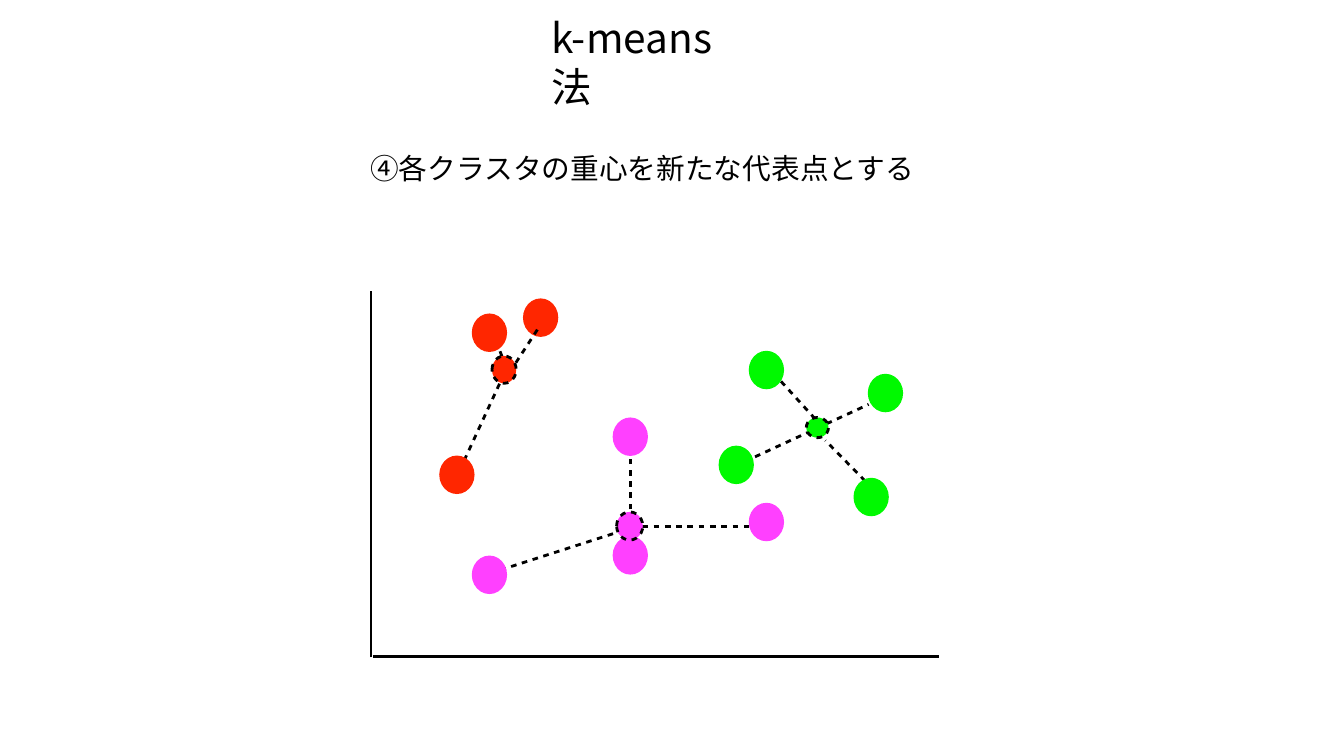
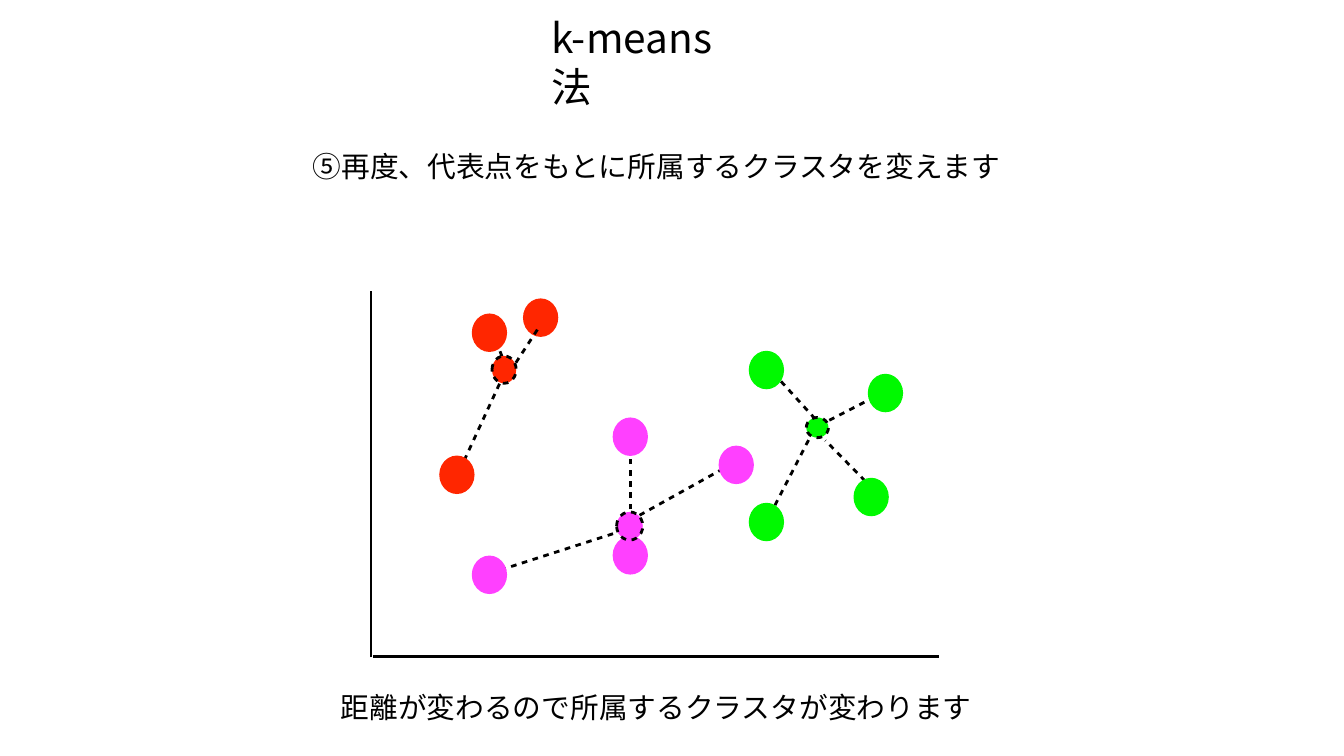
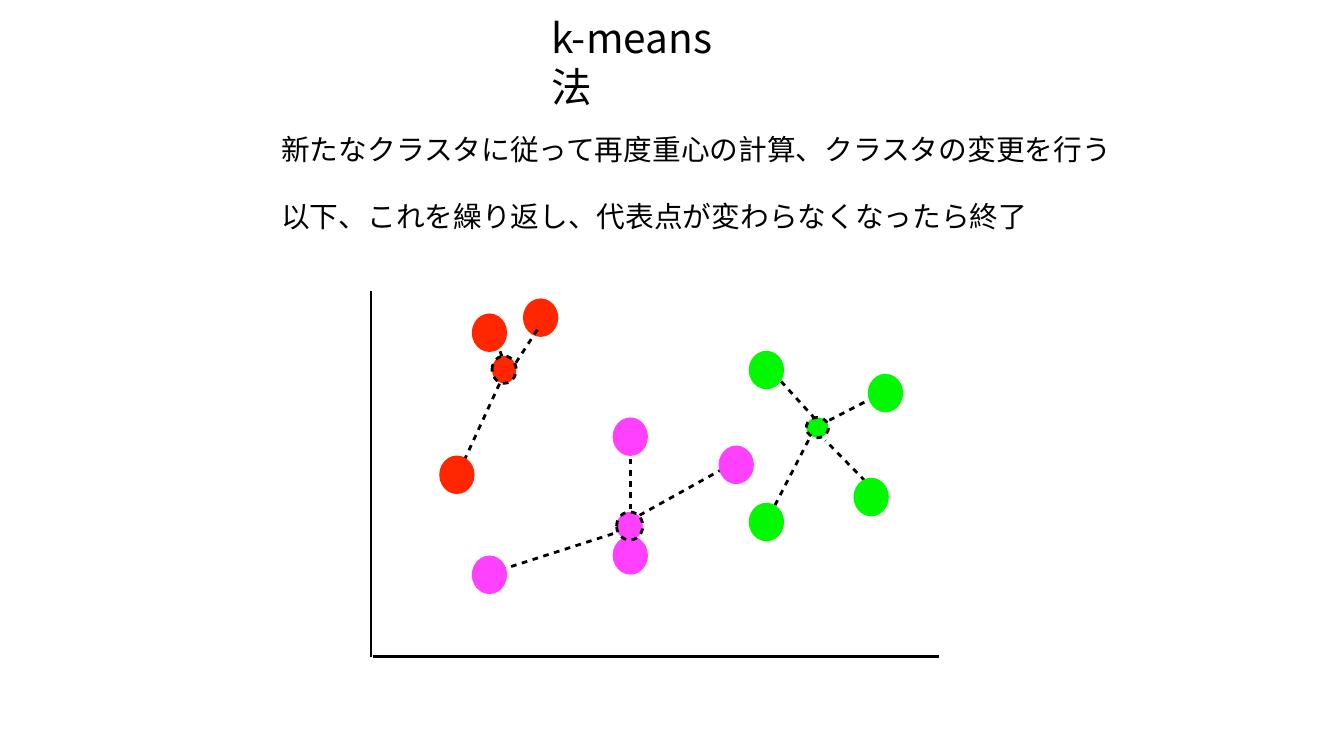
"""Build three slides that show the last steps of k-means clustering."""
import dataclasses
import typing

import pptx
import pptx.dml.color
import pptx.enum.shapes
import pptx.enum.text
import pptx.oxml.ns
import pptx.util
from lxml import etree
from pptx.util import Cm


@dataclasses.dataclass(frozen=True)
class Theme:
    font: str = "Noto Sans CJK JP"
    ink: str = "000000"
    red: str = "FF2600"
    green: str = "00F900"
    pink: str = "FF40FF"
    title_size: float = 29
    title_pitch: float = 35
    body_size: float = 20.5
    line_width: float = 2


THEME = Theme()


class Label(typing.NamedTuple):
    text: str
    left: float
    top: float
    width: float
    height: float = 1.02
    size: float = THEME.body_size
    pitch: float | None = None


class Link(typing.NamedTuple):
    start_x: float
    start_y: float
    end_x: float
    end_y: float


class Dot(typing.NamedTuple):
    color: str
    left: float
    top: float
    width: float = 0.89
    height: float = 0.97


class Step(typing.NamedTuple):
    labels: list[Label]
    links: list[Link]
    upper_links: list[Link]
    dots: list[Dot]


TITLE = Label("k-means 法", 13.82, 0.86, 5.08, 1.37, THEME.title_size, THEME.title_pitch)
AXES = [Link(9.35, 16.56, 9.35, 7.34), Link(9.4, 16.54, 23.67, 16.54)]
FIXED_LINKS = [
    Link(12.34, 14.45, 15.88, 13.31),
    Link(11.46, 12.12, 12.75, 9.32),
    Link(12.75, 9.25, 12.4, 8.31),
    Link(15.88, 13.97, 15.88, 11.2),
    Link(22, 12.32, 20.8, 11.1),
    Link(19.3, 9.19, 20.6, 10.62),
]
FIXED_DOTS = [
    Dot(THEME.red, 13.18, 7.52),
    Dot(THEME.red, 11.89, 7.9),
    Dot(THEME.red, 11.07, 11.48),
    Dot(THEME.green, 18.87, 8.84),
    Dot(THEME.green, 21.87, 9.42),
    Dot(THEME.green, 21.51, 12.04),
    Dot(THEME.pink, 15.44, 10.52),
    Dot(THEME.pink, 15.44, 13.51),
    Dot(THEME.pink, 11.89, 14),
]
CENTROIDS = [
    Dot(THEME.red, 12.4, 8.97, 0.61, 0.69),
    Dot(THEME.green, 20.32, 10.52, 0.56, 0.51),
    Dot(THEME.pink, 15.54, 12.9, 0.66, 0.71),
]
RED_LINK = Link(13, 9.14, 13.56, 8.28)


def moving_dots(lower_color: str, upper_color: str) -> list[Dot]:
    return [Dot(lower_color, 18.87, 12.67), Dot(upper_color, 18.11, 11.23)]


OLD_LINKS = [Link(15.62, 13.26, 19.41, 13.26), Link(18.77, 11.63, 21.89, 10.19)]
NEW_LINKS = [Link(15.62, 13.26, 18.26, 11.79), Link(19.53, 12.73, 20.5, 10.85)]
NEW_UPPER_LINKS = [RED_LINK, Link(20.9, 10.59, 21.89, 10.08)]
OLD_DOTS = moving_dots(THEME.pink, THEME.green)
NEW_DOTS = moving_dots(THEME.green, THEME.pink)

STEPS = [
    Step(
        [Label("④各クラスタの重心を新たな代表点とする", 9.25, 3.73, 14.02)],
        OLD_LINKS, [RED_LINK], OLD_DOTS,
    ),
    Step(
        [
            Label("⑤再度、代表点をもとに所属するクラスタを変えます", 7.8, 3.68, 17.68),
            Label("距離が変わるので所属するクラスタが変わります", 8.51, 17.3, 16.21),
        ],
        NEW_LINKS, NEW_UPPER_LINKS, NEW_DOTS,
    ),
    Step(
        [
            Label("新たなクラスタに従って再度重心の計算、クラスタの変更を行う", 7.01, 3.25, 21.31),
            Label("以下、これを繰り返し、代表点が変わらなくなったら終了", 7.01, 4.93, 19.13),
        ],
        NEW_LINKS, NEW_UPPER_LINKS, NEW_DOTS,
    ),
]


def rgb(color: str) -> pptx.dml.color.RGBColor:
    return pptx.dml.color.RGBColor.from_string(color)


def add_label(slide: pptx.slide.Slide, label: Label) -> None:
    shape = slide.shapes.add_textbox(
        Cm(label.left), Cm(label.top), Cm(label.width), Cm(label.height)
    )
    frame = shape.text_frame
    frame.word_wrap = True
    frame.auto_size = pptx.enum.text.MSO_AUTO_SIZE.NONE
    frame.vertical_anchor = pptx.enum.text.MSO_ANCHOR.MIDDLE
    frame.margin_left = frame.margin_right = Cm(0.08)
    frame.margin_top = frame.margin_bottom = Cm(0.08)
    paragraph = frame.paragraphs[0]
    paragraph.text = label.text
    paragraph.font.name = THEME.font
    paragraph.font.size = pptx.util.Pt(label.size)
    paragraph.font.color.rgb = rgb(THEME.ink)
    if label.pitch:
        paragraph.line_spacing = pptx.util.Pt(label.pitch)
    properties = next(shape.element.iter(pptx.oxml.ns.qn("a:defRPr")))
    etree.SubElement(properties, pptx.oxml.ns.qn("a:ea"), typeface=THEME.font)


def style_line(shape: typing.Any, dashed: bool) -> None:
    shape.line.color.rgb = rgb(THEME.ink)
    shape.line.width = pptx.util.Pt(THEME.line_width)
    if dashed:
        line = shape.element.spPr.find(pptx.oxml.ns.qn("a:ln"))
        pattern = etree.SubElement(line, pptx.oxml.ns.qn("a:custDash"))
        etree.SubElement(pattern, pptx.oxml.ns.qn("a:ds"), d="200000", sp="200000")


def add_link(slide: pptx.slide.Slide, link: Link, dashed: bool = True) -> None:
    connector = slide.shapes.add_connector(
        pptx.enum.shapes.MSO_CONNECTOR.STRAIGHT, *(Cm(value) for value in link)
    )
    style_line(connector, dashed)
    etree.SubElement(connector.element.spPr, pptx.oxml.ns.qn("a:effectLst"))


def add_dot(slide: pptx.slide.Slide, dot: Dot, outlined: bool = False) -> None:
    shape = slide.shapes.add_shape(
        pptx.enum.shapes.MSO_SHAPE.OVAL,
        Cm(dot.left), Cm(dot.top), Cm(dot.width), Cm(dot.height),
    )
    shape.shadow.inherit = False
    shape.fill.solid()
    shape.fill.fore_color.rgb = rgb(dot.color)
    if outlined:
        style_line(shape, dashed=True)
    else:
        shape.line.fill.background()


def add_step(presentation: pptx.presentation.Presentation, step: Step) -> None:
    slide = presentation.slides.add_slide(presentation.slide_layouts[6])
    for link in step.links + FIXED_LINKS:
        add_link(slide, link)
    for label in [TITLE, *step.labels]:
        add_label(slide, label)
    for axis in AXES:
        add_link(slide, axis, dashed=False)
    for dot in FIXED_DOTS + step.dots:
        add_dot(slide, dot)
    for centroid in CENTROIDS:
        add_dot(slide, centroid, outlined=True)
    for link in step.upper_links:
        add_link(slide, link)


def main() -> None:
    presentation = pptx.Presentation()
    presentation.slide_width = Cm(33.87)
    presentation.slide_height = Cm(19.05)
    for step in STEPS:
        add_step(presentation, step)
    presentation.save("out.pptx")


if __name__ == "__main__":
    main()
